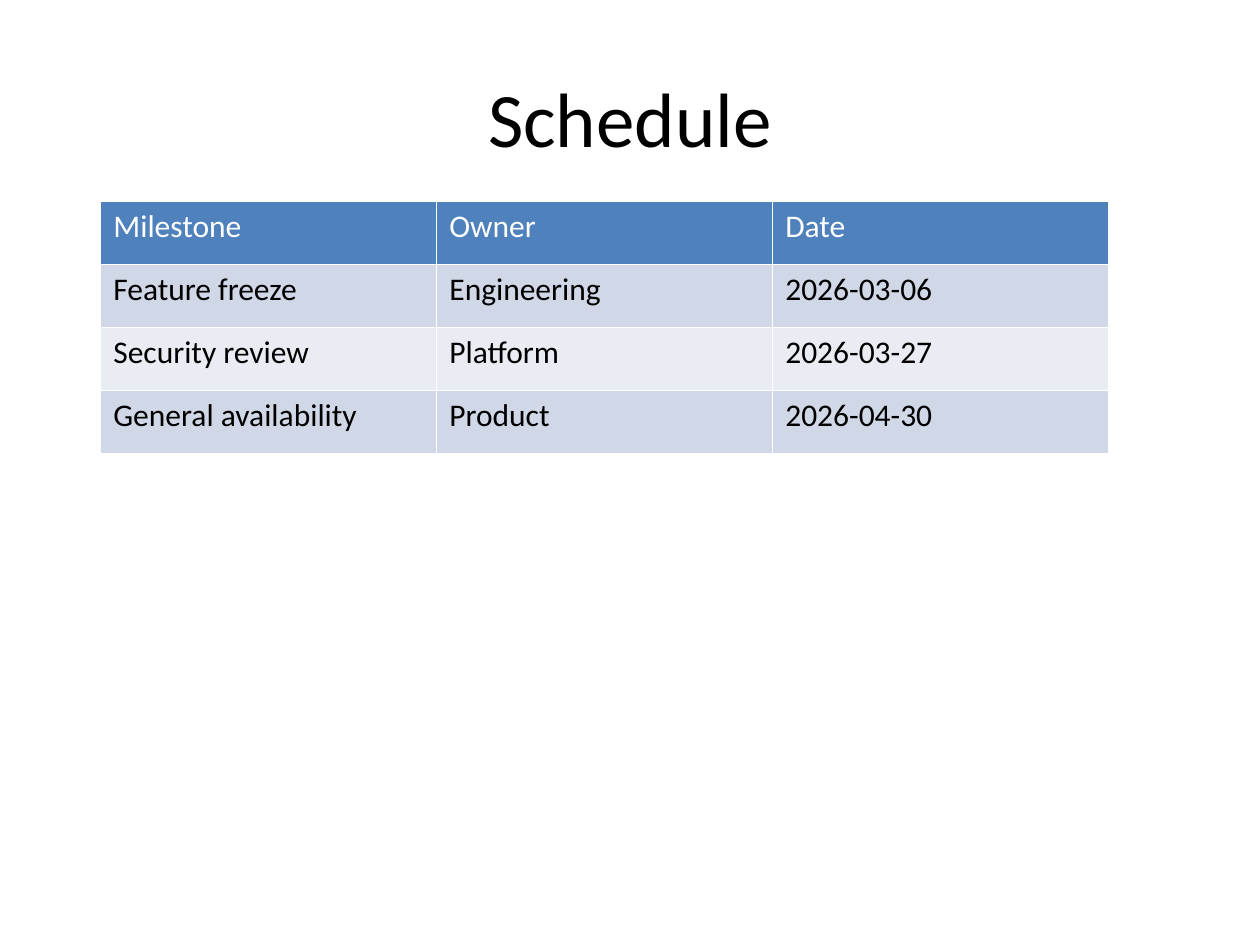
from lxml.etree import SubElement
from pptx import Presentation
from pptx.dml.color import RGBColor
from pptx.enum.text import MSO_ANCHOR, PP_ALIGN
from pptx.oxml.ns import qn
from pptx.util import Inches, Pt

BLACK = RGBColor(0x00, 0x00, 0x00)
WHITE = RGBColor(0xFF, 0xFF, 0xFF)
HEADER_BLUE = RGBColor(0x4F, 0x81, 0xBD)
BAND_DARK = RGBColor(0xD0, 0xD8, 0xE7)
BAND_LIGHT = RGBColor(0xE9, 0xEC, 0xF3)

SCHEDULE = [
    ("Milestone", "Owner", "Date"),
    ("Feature freeze", "Engineering", "2026-03-06"),
    ("Security review", "Platform", "2026-03-27"),
    ("General availability", "Product", "2026-04-30"),
]


class SlideBuilder:
    """Holds the text style and the current slide."""

    font_name = "Calibri"
    border_width = Pt(0.45)

    def __init__(self, page):
        self.page = page

    def add_text(self, frame, text, size, color, align):
        para = frame.paragraphs[0]
        para.alignment = align
        span = para.add_run()
        span.text = text
        style = {"name": self.font_name, "size": Pt(size), "bold": False}
        for key, value in style.items():
            setattr(span.font, key, value)
        span.font.color.rgb = color

    def title(self, text, left, top, width, height):
        box = self.page.shapes.title
        place = {"left": left, "top": top, "width": width, "height": height}
        for key, value in place.items():
            setattr(box, key, Inches(value))
        box.text_frame.vertical_anchor = MSO_ANCHOR.MIDDLE
        self.add_text(box.text_frame, text, 44, BLACK, PP_ALIGN.CENTER)

    def border(self, cell):
        properties = cell._tc.get_or_add_tcPr()
        for side in ("a:lnL", "a:lnR", "a:lnT", "a:lnB"):
            line = SubElement(properties, qn(side), w=str(self.border_width))
            fill = SubElement(line, qn("a:solidFill"))
            SubElement(fill, qn("a:srgbClr"), val=str(WHITE))

    def table(self, rows, left, top, width, height):
        place = [Inches(value) for value in (left, top, width, height)]
        grid = self.page.shapes.add_table(len(rows), len(rows[0]), *place).table
        for row_index, row in enumerate(rows):
            # Header row first, then alternating bands
            if row_index == 0:
                fill, color = HEADER_BLUE, WHITE
            else:
                fill, color = (BAND_DARK if row_index % 2 else BAND_LIGHT), BLACK
            for column_index, text in enumerate(row):
                cell = grid.cell(row_index, column_index)
                self.border(cell)
                cell.fill.solid()
                cell.fill.fore_color.rgb = fill
                self.add_text(cell.text_frame, text, 18, color, PP_ALIGN.LEFT)


def main():
    deck = Presentation()
    deck.slide_width, deck.slide_height = Inches(10), Inches(7.5)
    builder = SlideBuilder(deck.slides.add_slide(deck.slide_layouts[5]))

    # Heading and milestone table
    builder.title("Schedule", 0.5, 0.3, 9, 1.25)
    builder.table(SCHEDULE, 0.8, 1.6, 8, 2)

    deck.save("out.pptx")


if __name__ == "__main__":
    main()
